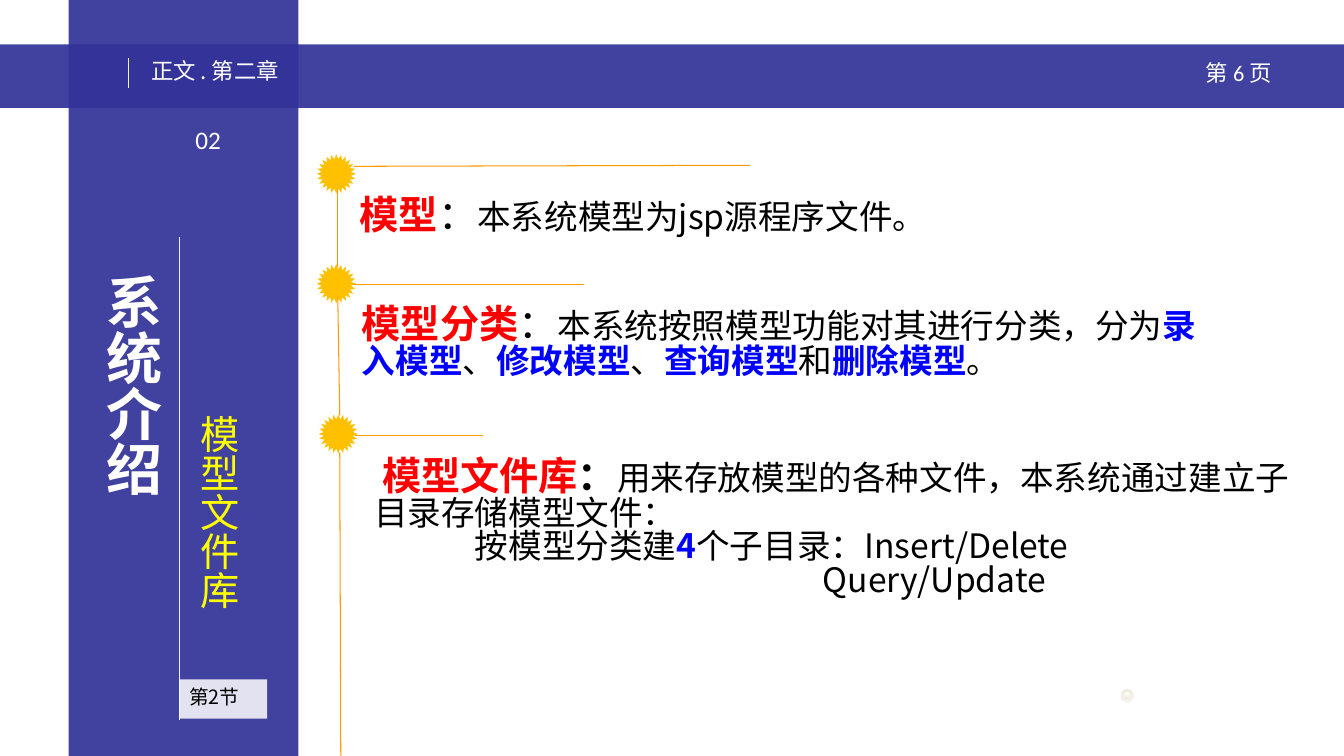
from lxml import etree
from pptx import Presentation
from pptx.dml.color import RGBColor
from pptx.enum.shapes import MSO_CONNECTOR as Connector, MSO_SHAPE as Shape
from pptx.enum.text import MSO_ANCHOR as Anchor, MSO_AUTO_SIZE as AutoSize, PP_ALIGN as Align
from pptx.oxml.ns import qn
from pptx.util import Inches, Pt

CJK, LATIN = "Noto Sans CJK SC", "Calibri"
INDIGO, WHITE, BLACK = "333399", "FFFFFF", "000000"
RED, BLUE, YELLOW = "FF0000", "0000FF", "FFFF00"
GOLD, ORANGE, IVORY = "FFC000", "FF9900", "EEECE1"


def color(value):
    return RGBColor.from_string(value)


class SlideBuilder:
    def __init__(self, page):
        self.page = page

    def shape(self, kind, left, top, width, height, fill, opacity=100):
        shape = self.page.shapes.add_shape(
            kind, Inches(left), Inches(top), Inches(width), Inches(height))
        shape.shadow.inherit = False
        shape.fill.solid()
        shape.fill.fore_color.rgb = color(fill)
        shape.line.fill.background()
        if opacity < 100:
            tint = shape.element.spPr.find(".//" + qn("a:srgbClr"))
            etree.SubElement(tint, qn("a:alpha"), val=str(opacity * 1000))
        return shape

    def button(self, center_x, center_y, size, start, end):
        disc = self.shape(Shape.OVAL, center_x - size / 2, center_y - size / 2, size, size, start)
        disc.fill.gradient()
        disc.fill.gradient_angle = 270
        for stop, value in zip(disc.fill.gradient_stops, (start, end)):
            stop.color.rgb = color(value)
        disc.line.color.rgb = color(IVORY)
        disc.line.width = Pt(0.75)

    def line(self, x1, y1, x2, y2, value):
        line = self.page.shapes.add_connector(
            Connector.STRAIGHT, Inches(x1), Inches(y1), Inches(x2), Inches(y2))
        line.line.color.rgb = color(value)
        line.line.width = Pt(0.75)
        etree.SubElement(line.element.spPr, qn("a:effectLst"))

    def text_box(self, left, top, width, height):
        return self.page.shapes.add_textbox(
            Inches(left), Inches(top), Inches(width), Inches(height))

    def placeholder(self, index, left, top, width, height):
        holder = self.page.placeholders[index]
        holder.left, holder.top = Inches(left), Inches(top)
        holder.width, holder.height = Inches(width), Inches(height)
        holder.element.getparent().append(holder.element)  # bring to front
        return holder

    def set_text(self, shape, paragraphs, size, value=BLACK, font=CJK, bold=False,
                 anchor=Anchor.TOP, side=0.1, indents=((0, 0),), spacing=0.83):
        """Each paragraph is a list of (text, style) spans; style overrides the defaults."""
        frame = shape.text_frame
        frame.word_wrap, frame.auto_size = True, AutoSize.NONE
        frame.vertical_anchor = anchor
        frame.margin_left, frame.margin_right = Inches(side), Inches(0.08 if side > 0.1 else 0.1)
        frame.margin_top = frame.margin_bottom = Inches(0.05)
        for number, (spans, (margin, indent)) in enumerate(zip(paragraphs, indents)):
            para = frame.add_paragraph() if number else frame.paragraphs[0]
            props = para._p.get_or_add_pPr()
            props.set("marL", str(Inches(margin)))
            props.set("indent", str(Inches(indent)))
            etree.SubElement(props, qn("a:buNone"))
            para.alignment = Align.LEFT
            para.line_spacing, para.space_before = spacing, Pt(0)
            defaults = {"size": size, "value": value, "font": font, "bold": bold}
            self.style(para.font, **defaults)
            for text, style in spans:
                span = para.add_run()
                span.text = text
                self.style(span.font, **{**defaults, **style})

    def style(self, target, size, value, font, bold):
        target.size, target.bold, target.name = Pt(size), bold, font
        target.color.rgb = color(value)
        latin = target._element.find(qn("a:latin"))
        latin.addnext(latin.makeelement(qn("a:ea"), {"typeface": CJK}))


def main():
    deck = Presentation()
    deck.slide_width, deck.slide_height = Inches(13.33), Inches(7.5)
    page = deck.slides.add_slide(deck.slide_layouts[1])
    slide = SlideBuilder(page)

    # Header band and side band
    slide.shape(Shape.RECTANGLE, 0, 0.44, 13.33, 0.63, INDIGO, 93)
    slide.shape(Shape.RECTANGLE, 0.68, 0, 2.28, 7.5, INDIGO, 93)
    slide.line(1.27, 0.58, 1.27, 0.87, "EAF1DD")
    slide.set_text(slide.text_box(1.4, 0.56, 3.26, 0.37), [[("正文 . 第二章", {})]], 16, WHITE)
    slide.set_text(slide.text_box(11.86, 0.58, 1.2, 0.4),
                   [[("第 ", {}), ("6 ", {"font": LATIN}), ("页", {})]], 16, WHITE)

    # Chapter title and section
    title = slide.placeholder(0, 0.9, 2.49, 0.9, 2.77)
    slide.set_text(title, [[("系 统 介 绍", {})]], 40, WHITE, bold=True,
                   anchor=Anchor.MIDDLE, side=0.16)
    slide.set_text(slide.text_box(1.84, 1.18, 0.45, 0.4), [[("02", {})]], 18, WHITE, LATIN,
                   spacing=1)
    slide.line(1.78, 2.35, 1.78, 7.14, "F2F2F2")
    section = slide.shape(Shape.RECTANGLE, 1.78, 6.74, 0.87, 0.39, WHITE, 85)
    slide.set_text(section, [[("第2节", {})]], 14, anchor=Anchor.MIDDLE)
    slide.set_text(slide.text_box(1.83, 3.9, 0.7, 2.44), [[("模 型 文 件 库", {})]], 28, YELLOW,
                   anchor=Anchor.MIDDLE, side=0.16)

    # Small round button
    slide.button(11.18, 6.9, 0.12, IVORY, WHITE)
    slide.button(11.18, 6.9, 0.08, WHITE, IVORY)

    # Definitions
    term = {"size": 28, "value": RED, "bold": True}
    colon = {"size": 28}
    key = {"value": BLUE, "bold": True}
    slide.set_text(slide.text_box(3.47, 1.92, 9.38, 0.57),
                   [[("模型", term), ("：", colon), ("本系统模型为jsp源程序文件。", {})]], 24)
    slide.set_text(slide.text_box(3.49, 3, 8.75, 0.97),
                   [[("模型分类", term), ("：", colon),
                     ("本系统按照模型功能对其进行分类，分为", {}), ("录入模型", key), ("、", {}),
                     ("修改模型", key), ("、", {}), ("查询模型", key), ("和", {}),
                     ("删除模型", key), ("。", {})]], 24)
    library = slide.placeholder(1, 3.61, 4.51, 9.41, 2.17)
    slide.set_text(library,
                   [[("模型文件库", term), ("：", {"size": 28, "bold": True}),
                     ("用来存放模型的各种文件，本系统通过建立子目录存储模型文件：", {})],
                    [("按模型分类建", {}), ("4", key), ("个子目录：Insert/Delete", {})],
                    [("Query/Update", {})]],
                   24, indents=((0, 0.08), (1, 0), (4.45, 0)))

    # Timeline: bursts, branches and stems
    for left, top in ((3.14, 1.53), (3.14, 2.62), (3.16, 4.11)):
        slide.shape(Shape.STAR_24_POINT, left, top, 0.39, 0.39, GOLD)
    for ends in ((3.51, 1.65, 7.44, 1.64), (3.51, 2.82, 5.79, 2.82), (3.52, 4.32, 4.79, 4.32),
                 (3.35, 1.88, 3.35, 2.65), (3.35, 2.94, 3.37, 4.12), (3.37, 4.49, 3.38, 7.5)):
        slide.line(*ends, ORANGE)

    deck.save("out.pptx")


if __name__ == "__main__":
    main()
